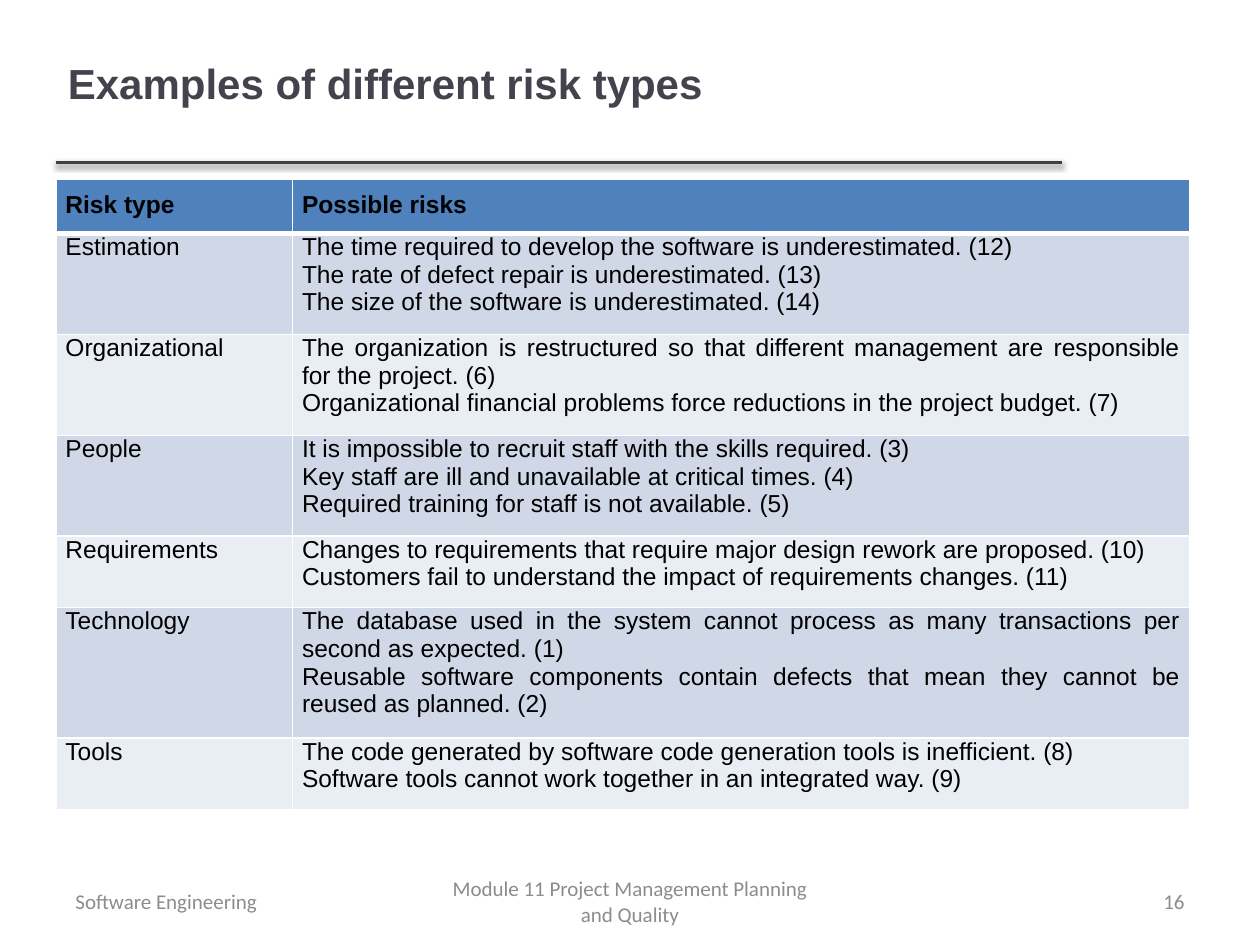
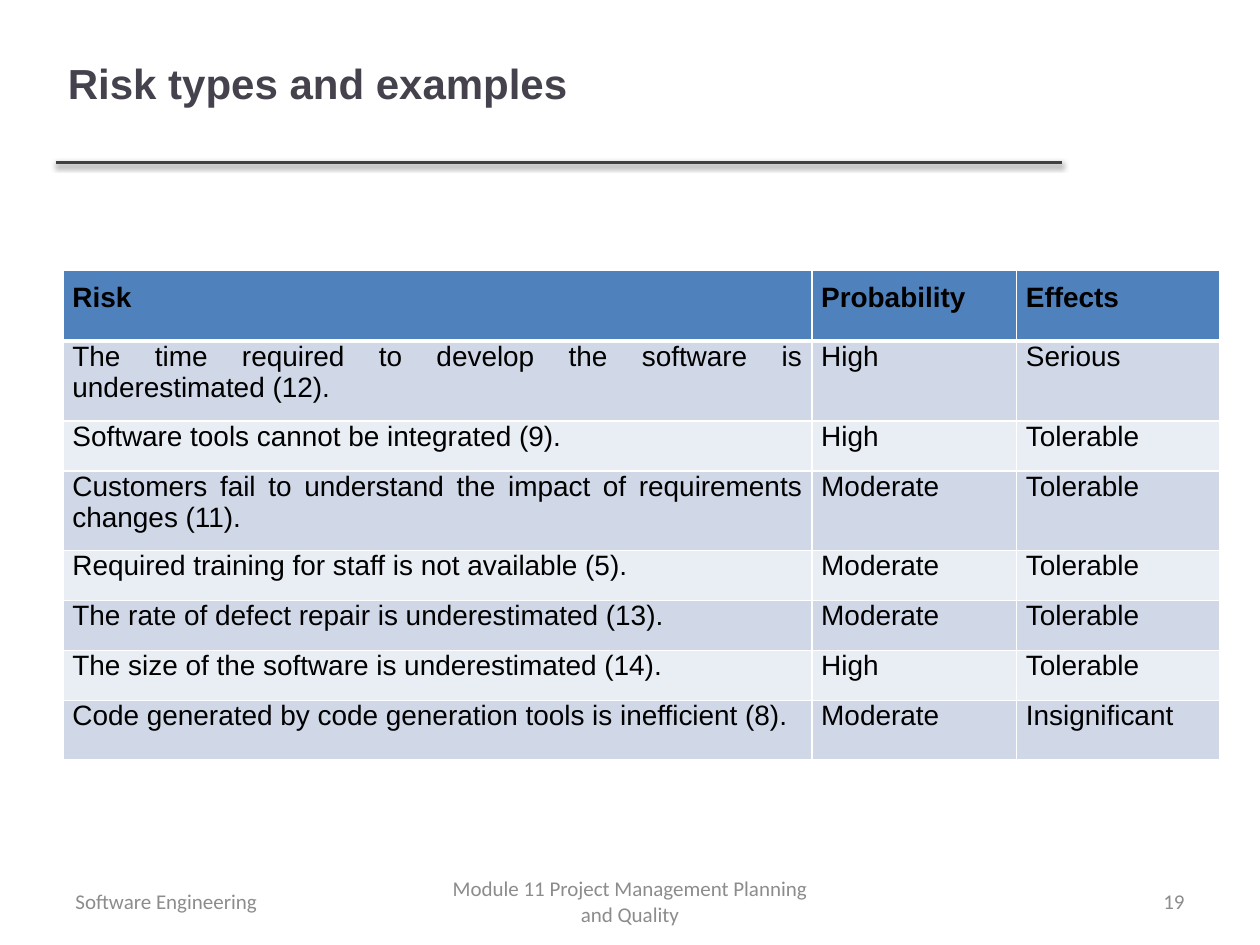
from dataclasses import dataclass

from lxml.etree import SubElement
from pptx import Presentation
from pptx.dml.color import RGBColor
from pptx.enum.shapes import MSO_CONNECTOR
from pptx.enum.text import MSO_ANCHOR, PP_ALIGN
from pptx.oxml import parse_xml
from pptx.oxml.ns import nsdecls, qn
from pptx.slide import Slide
from pptx.table import _Cell
from pptx.text.text import TextFrame
from pptx.util import Pt

TITLE_COLOR = "46424D"
RULE_COLOR = "404040"
FOOTER_COLOR = "8C8C8C"
TEXT_COLOR = "000000"
BORDER_COLOR = "FFFFFF"
HEADER_FILL = "4F81BD"
BAND_FILLS = ("D0D8E8", "E9EDF4")


@dataclass(frozen=True)
class Box:
    left: float
    top: float
    width: float
    height: float


@dataclass(frozen=True)
class FooterPart:
    text: str
    box: Box
    align: PP_ALIGN


@dataclass(frozen=True)
class RiskTable:
    """Cell text holds one paragraph per line; the first row is the header."""
    left: float
    top: float
    font_size: float
    column_widths: tuple[float, ...]
    row_heights: tuple[float, ...]
    rows: tuple[tuple[str, ...], ...]


@dataclass(frozen=True)
class RiskSlide:
    title: str
    number: int
    table: RiskTable


TITLE_BOX = Box(31.7, 2.2, 574.6, 90)
FOOTERS = (
    FooterPart("Software Engineering", Box(36, 500.5, 168, 28.8), PP_ALIGN.LEFT),
    FooterPart("Module 11 Project Management Planning and Quality",
               Box(246, 500.5, 228, 28.8), PP_ALIGN.CENTER),
)
NUMBER_BOX = Box(516, 500.5, 168, 28.8)

RISK_TYPES = RiskTable(
    left=32, top=102.2, font_size=14,
    column_widths=(135.2, 512.8),
    row_heights=(29.5, 54.4, 54.4, 54.4, 38.4, 70.4, 38.4),
    rows=(
        ("Risk type", "Possible risks"),
        ("Estimation",
         "The time required to develop the software is underestimated. (12)\n"
         "The rate of defect repair is underestimated. (13)\n"
         "The size of the software is underestimated. (14)"),
        ("Organizational",
         "The organization is restructured so that different management are "
         "responsible for the project. (6)\n"
         "Organizational financial problems force reductions in the project budget. (7)"),
        ("People",
         "It is impossible to recruit staff with the skills required. (3)\n"
         "Key staff are ill and unavailable at critical times. (4)\n"
         "Required training for staff is not available. (5)"),
        ("Requirements",
         "Changes to requirements that require major design rework are proposed. (10)\n"
         "Customers fail to understand the impact of requirements changes. (11)"),
        ("Technology",
         "The database used in the system cannot process as many transactions "
         "per second as expected. (1)\n"
         "Reusable software components contain defects that mean they cannot be "
         "reused as planned. (2)"),
        ("Tools",
         "The code generated by software code generation tools is inefficient. (8)\n"
         "Software tools cannot work together in an integrated way. (9)"),
    ),
)

RISK_EFFECTS = RiskTable(
    left=36, top=154.2, font_size=16,
    column_widths=(427.9, 117, 116),
    row_heights=(40.7, 42.8, 28.6, 42.8, 28.6, 28.6, 28.6, 33.8),
    rows=(
        ("Risk", "Probability", "Effects"),
        ("The time required to develop the software is underestimated (12).",
         "High", "Serious"),
        ("Software tools cannot be integrated (9).", "High", "Tolerable"),
        ("Customers fail to understand the impact of requirements changes (11).",
         "Moderate", "Tolerable"),
        ("Required training for staff is not available (5).", "Moderate", "Tolerable"),
        ("The rate of defect repair is underestimated (13).", "Moderate", "Tolerable"),
        ("The size of the software is underestimated (14).", "High", "Tolerable"),
        ("Code generated by code generation tools is inefficient (8).",
         "Moderate", "Insignificant"),
    ),
)

SLIDES = (
    RiskSlide("Examples of different risk types", 16, RISK_TYPES),
    RiskSlide("Risk types and examples", 19, RISK_EFFECTS),
)


def color(value: str) -> RGBColor:
    return RGBColor.from_string(value)


def write_text(frame: TextFrame, text: str, *, size: float, font_color: str,
               font: str = "Arial", bold: bool = False,
               align: PP_ALIGN = PP_ALIGN.LEFT) -> None:
    frame.word_wrap = True
    for index, line in enumerate(text.split("\n")):
        paragraph = frame.paragraphs[0] if index == 0 else frame.add_paragraph()
        paragraph.alignment = align
        run = paragraph.add_run()
        run.text = line
        run.font.name = font
        run.font.size = Pt(size)
        run.font.bold = bold
        run.font.color.rgb = color(font_color)


def add_text_box(slide: Slide, box: Box, text: str, **text_format) -> None:
    shape = slide.shapes.add_textbox(
        Pt(box.left), Pt(box.top), Pt(box.width), Pt(box.height))
    shape.text_frame.vertical_anchor = MSO_ANCHOR.MIDDLE
    write_text(shape.text_frame, text, **text_format)


def add_title_rule(slide: Slide) -> None:
    rule = slide.shapes.add_connector(
        MSO_CONNECTOR.STRAIGHT, Pt(32), Pt(92.8), Pt(607), Pt(92.8))
    rule.line.color.rgb = color(RULE_COLOR)
    rule.line.width = Pt(2)
    rule._element.spPr.append(parse_xml(
        f'<a:effectLst {nsdecls("a")}>'
        f'<a:outerShdw blurRad="{Pt(3.1)}" dist="{Pt(1.6)}" dir="5400000" '
        'rotWithShape="0"><a:srgbClr val="000000"><a:alpha val="38000"/>'
        '</a:srgbClr></a:outerShdw></a:effectLst>'))


def set_borders(cell: _Cell, row_index: int) -> None:
    """Draw thin borders, with a thick one between header and body."""
    widths = {"L": 1, "R": 1,
              "T": 3 if row_index == 1 else 1,
              "B": 3 if row_index == 0 else 1}
    properties = cell._tc.get_or_add_tcPr()
    for side, width in widths.items():
        line = SubElement(properties, qn(f"a:ln{side}"), w=str(Pt(width)))
        fill = SubElement(line, qn("a:solidFill"))
        SubElement(fill, qn("a:srgbClr"), val=BORDER_COLOR)


def format_cell(cell: _Cell, row_index: int, text: str, size: float) -> None:
    is_header = row_index == 0
    set_borders(cell, row_index)
    cell.fill.solid()
    cell.fill.fore_color.rgb = color(
        HEADER_FILL if is_header else BAND_FILLS[(row_index - 1) % 2])
    cell.margin_left = cell.margin_right = Pt(5.4)
    cell.margin_top = Pt(7.2 if is_header else 0)
    cell.margin_bottom = Pt(7.2)
    write_text(cell.text_frame, text, size=size, font_color=TEXT_COLOR,
               bold=is_header, align=PP_ALIGN.JUSTIFY)


def add_risk_table(slide: Slide, content: RiskTable) -> None:
    table = slide.shapes.add_table(
        len(content.rows), len(content.column_widths),
        Pt(content.left), Pt(content.top),
        Pt(sum(content.column_widths)), Pt(sum(content.row_heights))).table
    for column, width in zip(table.columns, content.column_widths):
        column.width = Pt(width)
    for row_index, texts in enumerate(content.rows):
        table.rows[row_index].height = Pt(content.row_heights[row_index])
        for column_index, text in enumerate(texts):
            format_cell(table.cell(row_index, column_index), row_index,
                        text, content.font_size)


def add_risk_slide(presentation: Presentation, content: RiskSlide) -> None:
    slide = presentation.slides.add_slide(presentation.slide_layouts[6])
    add_title_rule(slide)
    add_text_box(slide, TITLE_BOX, content.title, size=24,
                 font_color=TITLE_COLOR, bold=True)
    add_risk_table(slide, content.table)
    number = FooterPart(str(content.number), NUMBER_BOX, PP_ALIGN.RIGHT)
    for part in (*FOOTERS, number):
        add_text_box(slide, part.box, part.text, size=12, font="Calibri",
                     font_color=FOOTER_COLOR, align=part.align)


def main() -> None:
    presentation = Presentation()
    presentation.slide_width = Pt(720)
    presentation.slide_height = Pt(540)
    for content in SLIDES:
        add_risk_slide(presentation, content)
    presentation.save("out.pptx")


if __name__ == "__main__":
    main()
